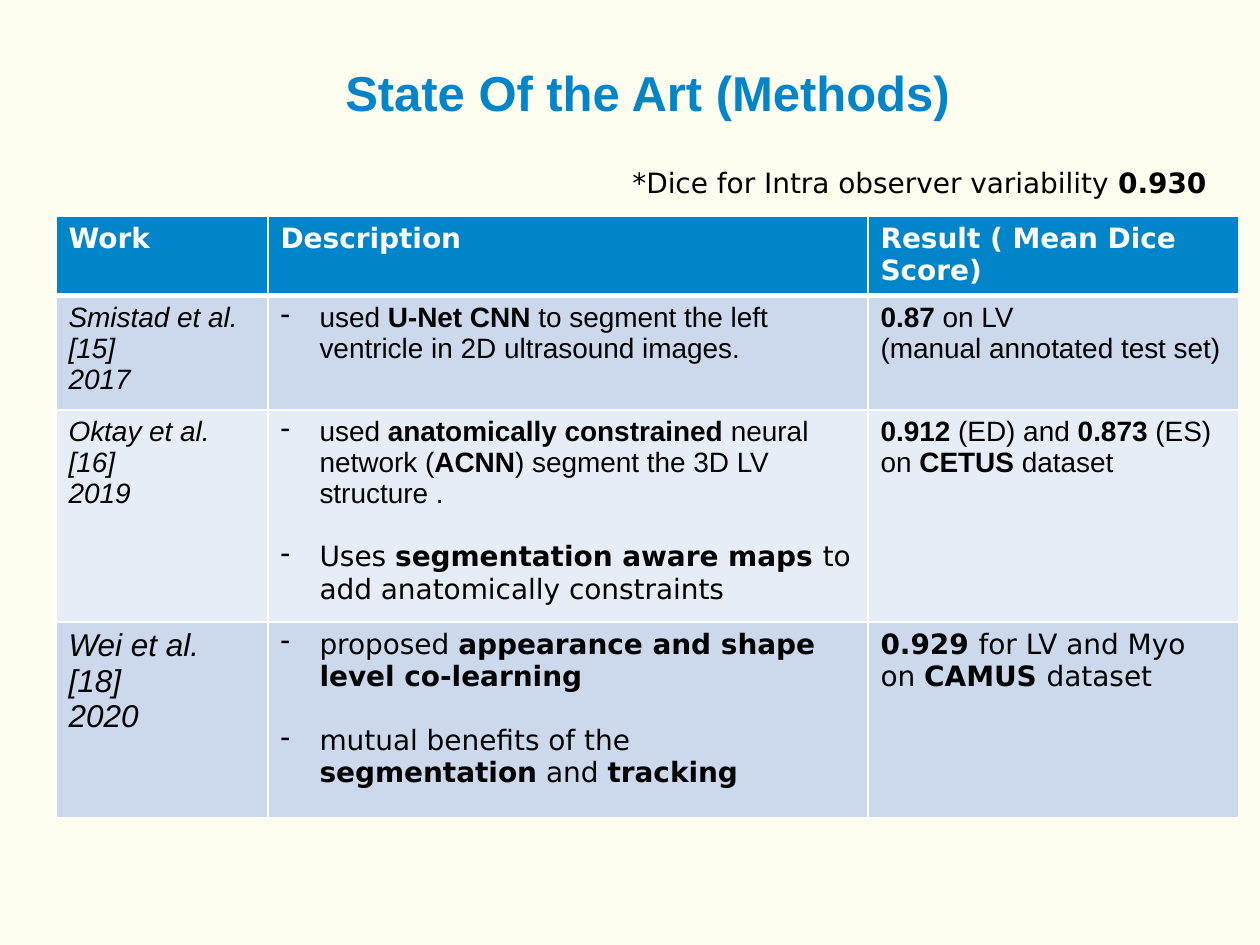
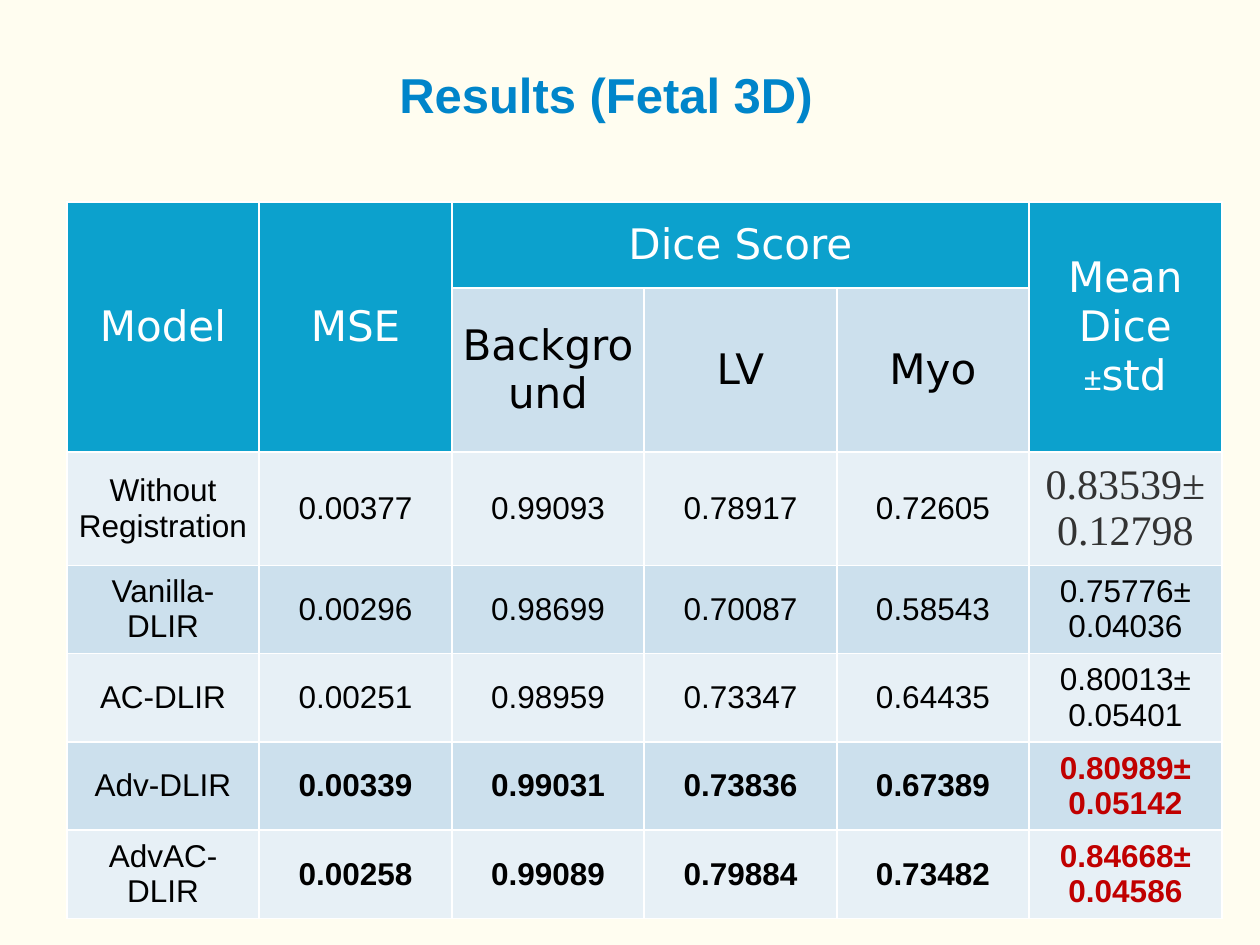
from dataclasses import dataclass, replace

from lxml.etree import SubElement
from pptx import Presentation
from pptx.dml.color import RGBColor
from pptx.enum.text import MSO_ANCHOR as Anchor, PP_ALIGN as Align
from pptx.oxml.ns import qn
from pptx.util import Pt

EMU_PER_PX = 914400 / 126

CREAM = RGBColor(0xFF, 0xFD, 0xF0)
WHITE = RGBColor(0xFF, 0xFF, 0xFF)
BLACK = RGBColor(0x00, 0x00, 0x00)
GRAY = RGBColor(0x33, 0x33, 0x33)
RED = RGBColor(0xC0, 0x00, 0x00)
BLUE = RGBColor(0x00, 0x85, 0xCA)
CYAN = RGBColor(0x0C, 0xA1, 0xCD)
METHOD_BANDS = RGBColor(0xCC, 0xD9, 0xEC), RGBColor(0xE7, 0xED, 0xF6)
SCORE_BANDS = RGBColor(0xE7, 0xF0, 0xF6), RGBColor(0xCC, 0xE0, 0xED)


@dataclass(frozen=True)
class Style:
    font: str
    size: int
    color: RGBColor = BLACK
    bold: bool = False
    italic: bool = False


TITLE = Style("Arial", 28, BLUE, bold=True)
BODY = Style("Arial", 16)
WIDE = Style("DejaVu Sans", 16)
WORK = replace(BODY, italic=True)
METHOD_HEAD = replace(WIDE, color=WHITE, bold=True)
SCORE = Style("Arial", 18)
SCORE_HEAD = Style("DejaVu Sans", 24, WHITE)
SCORE_SUBHEAD = replace(SCORE_HEAD, color=BLACK)
BASELINE_MEAN = Style("Times New Roman", 24, GRAY)

METHOD_HEADINGS = ["Work", "Description", "Result ( Mean Dice Score)"]
METHODS = [
    [
        [("Smistad et al. [15]", WORK), ("2017", WORK)],
        [("used |U-Net CNN |to segment the left ventricle in 2D ultrasound images.", BODY)],
        [("|0.87| on LV", BODY), ("(manual annotated test set)", BODY)],
    ],
    [
        [("Oktay et al. [16]", WORK), ("2019", WORK)],
        [
            ("used |anatomically constrained |neural network (|ACNN|) segment the 3D LV structure .", BODY),
            ("Uses |segmentation aware maps |to add anatomically constraints", WIDE),
        ],
        [("|0.912| (ED) and |0.873| (ES) on |CETUS| dataset", BODY)],
    ],
    [
        [(line, replace(WORK, size=18)) for line in ("Wei et al.", "[18]", "2020")],
        [
            ("proposed |appearance and shape level co-learning", WIDE),
            ("mutual benefits of the |segmentation| and |tracking", WIDE),
        ],
        [("|0.929 |for LV and Myo", WIDE), ("on |CAMUS |dataset", WIDE)],
    ],
]

SCORES = [
    ["Without Registration", "0.00377", "0.99093", "0.78917", "0.72605", "0.83539± 0.12798"],
    ["Vanilla-DLIR", "0.00296", "0.98699", "0.70087", "0.58543", "0.75776± 0.04036"],
    ["AC-DLIR", "0.00251", "0.98959", "0.73347", "0.64435", "0.80013± 0.05401"],
    ["Adv-DLIR", "0.00339", "0.99031", "0.73836", "0.67389", "0.80989± 0.05142"],
    ["AdvAC-DLIR", "0.00258", "0.99089", "0.79884", "0.73482", "0.84668± 0.04586"],
]
FIRST_ADVERSARIAL = 3


def px(length):
    return round(length * EMU_PER_PX)


def marked(text, style):
    pieces = enumerate(text.split("|"))
    return [(piece, replace(style, bold=style.bold or i % 2 == 1)) for i, piece in pieces if piece]


def write_runs(paragraph, pieces, align=Align.LEFT):
    paragraph.alignment = align
    for text, style in pieces:
        run = paragraph.add_run()
        run.text = text
        font = run.font
        font.name, font.size = style.font, Pt(style.size)
        font.bold, font.italic = style.bold, style.italic
        font.color.rgb = style.color


def add_dash(paragraph):
    properties = paragraph._p.get_or_add_pPr()
    properties.set("marL", str(px(39)))
    properties.set("indent", str(-px(39)))
    SubElement(properties, qn("a:buChar")).set("char", "-")


def write_lines(frame, lines, dashed=False):
    for i, (text, style) in enumerate(lines):
        paragraph = frame.add_paragraph() if i else frame.paragraphs[0]
        if dashed:
            add_dash(paragraph)
            if i:
                paragraph.space_before = Pt(18)
        write_runs(paragraph, marked(text, style))


def add_text(slide, left, top, width, height):
    frame = slide.shapes.add_textbox(px(left), px(top), px(width), px(height)).text_frame
    frame.word_wrap = True
    return frame


def add_titled_slide(deck, title, left, top, width):
    slide = deck.slides.add_slide(deck.slide_layouts[6])
    slide.background.fill.solid()
    slide.background.fill.fore_color.rgb = CREAM
    frame = add_text(slide, left, top, width, 71)
    frame.margin_left = frame.margin_right = frame.margin_bottom = 0
    frame.vertical_anchor = Anchor.MIDDLE
    write_runs(frame.paragraphs[0], [(title, TITLE)], Align.CENTER)
    return slide


def add_grid(slide, left, top, columns, rows):
    frame = slide.shapes.add_table(
        len(rows), len(columns), px(left), px(top), px(sum(columns)), px(sum(rows)))
    table = frame.table
    table.first_row = table.horz_banding = False
    for column, width in zip(table.columns, columns):
        column.width = px(width)
    for row, height in zip(table.rows, rows):
        row.height = px(height)
    return table


def paint_cell(cell, fill, top_rule=1, bottom_rule=1):
    properties = cell._tc.get_or_add_tcPr()
    for side, points in zip("LRTB", (1, 1, top_rule, bottom_rule)):
        line = SubElement(properties, qn(f"a:ln{side}"), w=str(Pt(points)))
        solid = SubElement(line, qn("a:solidFill"))
        SubElement(solid, qn("a:srgbClr"), val=str(WHITE))
    cell.fill.solid()
    cell.fill.fore_color.rgb = fill


def center_cell(cell, pieces):
    cell.vertical_anchor = Anchor.MIDDLE
    cell.margin_left = cell.margin_right = px(10)
    write_runs(cell.text_frame.paragraphs[0], pieces, Align.CENTER)


def score_style(model, column):
    last = column == len(SCORES[0]) - 1
    if last and model == 0:
        return BASELINE_MEAN
    adversarial = model >= FIRST_ADVERSARIAL
    return replace(SCORE, bold=adversarial and column > 0,
                   color=RED if adversarial and last else BLACK)


def build_methods(deck):
    slide = add_titled_slide(deck, "State Of the Art (Methods)", 178, 53, 939)
    table = add_grid(slide, 56, 216, [212, 600, 371], [76, 114, 202, 196])
    for column, heading in enumerate(METHOD_HEADINGS):
        cell = table.cell(0, column)
        paint_cell(cell, BLUE, bottom_rule=3)
        write_lines(cell.text_frame, [(heading, METHOD_HEAD)])
    for r, method in enumerate(METHODS):
        for column, lines in enumerate(method):
            cell = table.cell(r + 1, column)
            paint_cell(cell, METHOD_BANDS[r % 2], top_rule=1 if r else 3)
            write_lines(cell.text_frame, lines, dashed=column == 1)
    caption = add_text(slide, 620, 159, 620, 47)
    write_lines(caption, [("*Dice for Intra observer variability |0.930", WIDE)])


def build_results(deck):
    slide = add_titled_slide(deck, "Results (Fetal 3D)", 277, 55, 658)
    table = add_grid(slide, 67, 202, [192, 193] * 3, [86, 159, 106] + [83] * 4)
    for column in range(6):
        inner = 2 <= column <= 4
        paint_cell(table.cell(0, column), CYAN)
        paint_cell(table.cell(1, column), SCORE_BANDS[1] if inner else CYAN)
        if not inner:
            table.cell(0, column).merge(table.cell(1, column))
    table.cell(0, 2).merge(table.cell(0, 4))
    for column, heading in [(0, "Model"), (1, "MSE"), (2, "Dice Score")]:
        center_cell(table.cell(0, column), [(heading, SCORE_HEAD)])
    center_cell(table.cell(0, 5), [
        ("Mean Dice ", SCORE_HEAD), ("±", replace(SCORE, color=WHITE)), ("std", SCORE_HEAD)])
    for column, heading in enumerate(["Background", "LV", "Myo"], 2):
        center_cell(table.cell(1, column), [(heading, SCORE_SUBHEAD)])
    for model, values in enumerate(SCORES):
        for column, value in enumerate(values):
            cell = table.cell(model + 2, column)
            paint_cell(cell, SCORE_BANDS[model % 2])
            center_cell(cell, [(value, score_style(model, column))])


def main():
    deck = Presentation()
    deck.slide_width, deck.slide_height = px(1260), px(945)
    build_methods(deck)
    build_results(deck)
    deck.save("out.pptx")


if __name__ == "__main__":
    main()
